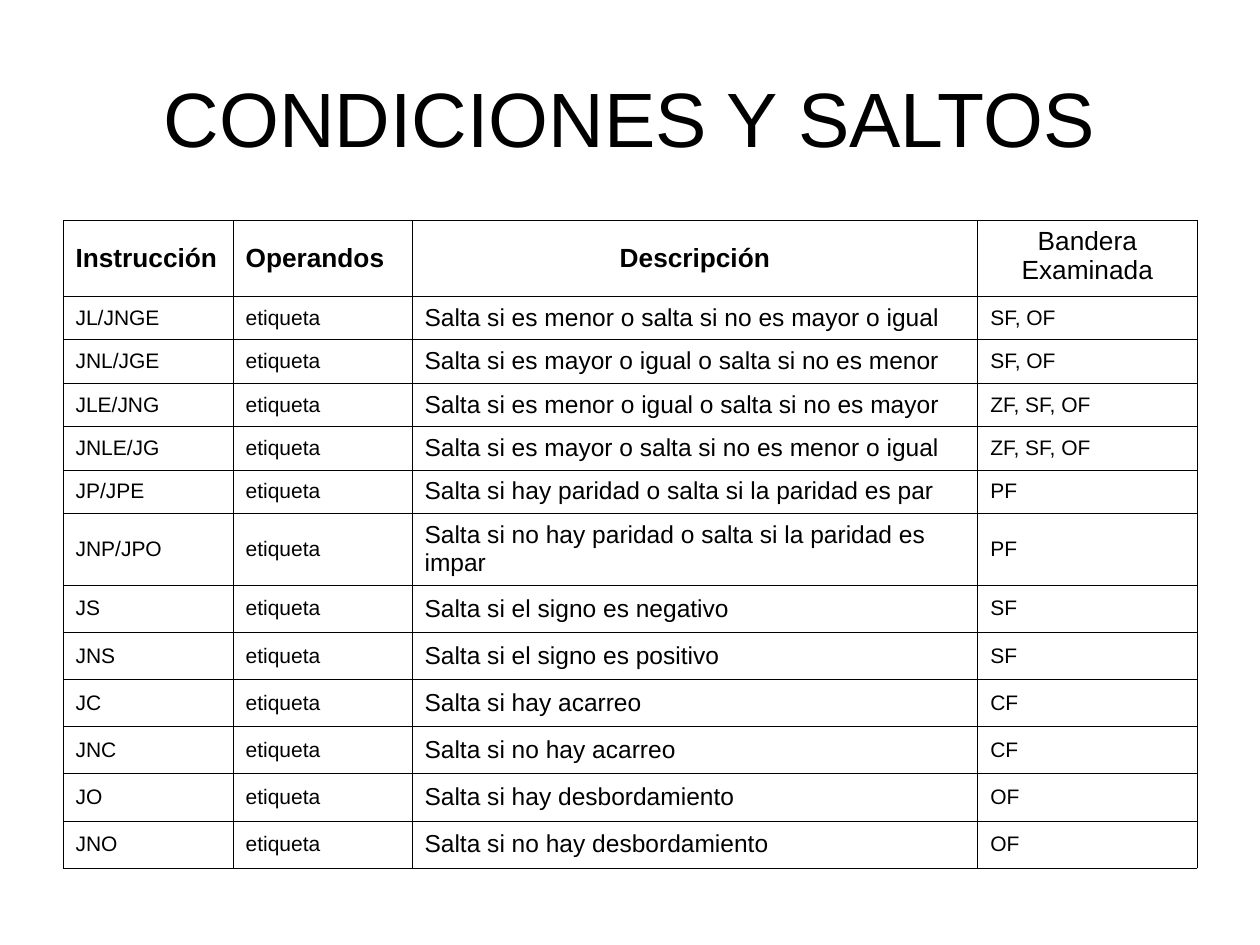
from lxml import etree
from pptx import Presentation
from pptx.dml.color import RGBColor
from pptx.enum.text import MSO_ANCHOR, PP_ALIGN
from pptx.oxml.ns import qn
from pptx.util import Inches, Pt

LEFT, CENTER = PP_ALIGN.LEFT, PP_ALIGN.CENTER
TOP, MIDDLE = MSO_ANCHOR.TOP, MSO_ANCHOR.MIDDLE

FONT = "Arial"
BLACK, WHITE = "000000", "FFFFFF"
BORDER_PT = 0.34

SLIDE_W, SLIDE_H = 10, 7.5
MARGIN = SLIDE_W / 20
CONTENT_W = SLIDE_W - 2 * MARGIN
TITLE_BOX = (MARGIN, SLIDE_H * 0.04, CONTENT_W, SLIDE_H / 6)
TABLE_BOX = (MARGIN, 1.75, CONTENT_W, 5.14)

COLUMN_SHARES = [1.35, 1.42, 4.49, 1.74]
ROW_SHARES = [0.6] + [0.345] * 5 + [0.57] + [0.375] * 6
BODY_SIZES = [12, 12, 14, 12]

# Heading, alignment, anchor, bold
HEADER = [
    ("Instrucción", LEFT, MIDDLE, True),
    ("Operandos", LEFT, MIDDLE, True),
    ("Descripción", CENTER, MIDDLE, True),
    ("Bandera Examinada", CENTER, TOP, False),
]

# Instruction, description, flags tested
JUMPS = [
    ("JL/JNGE", "Salta si es menor o salta si no es mayor o igual", "SF, OF"),
    ("JNL/JGE", "Salta si es mayor o igual o salta si no es menor", "SF, OF"),
    ("JLE/JNG", "Salta si es menor o igual o salta si no es mayor", "ZF, SF, OF"),
    ("JNLE/JG", "Salta si es mayor o salta si no es menor o igual", "ZF, SF, OF"),
    ("JP/JPE", "Salta si hay paridad o salta si la paridad es par", "PF"),
    ("JNP/JPO", "Salta si no hay paridad o salta si la paridad es impar", "PF"),
    ("JS", "Salta si el signo es negativo", "SF"),
    ("JNS", "Salta si el signo es positivo", "SF"),
    ("JC", "Salta si hay acarreo", "CF"),
    ("JNC", "Salta si no hay acarreo", "CF"),
    ("JO", "Salta si hay desbordamiento", "OF"),
    ("JNO", "Salta si no hay desbordamiento", "OF"),
]


def rgb(value):
    return RGBColor.from_string(value)


def write(tf, text, size, align=LEFT, bold=False):
    tf.word_wrap = True
    tf.text = text
    p = tf.paragraphs[0]
    p.alignment = align
    font = p.runs[0].font
    font.name, font.size, font.bold = FONT, Pt(size), bold
    font.color.rgb = rgb(BLACK)


def add_borders(cell):
    # Border lines must come before the cell fill
    tc_pr = cell._tc.get_or_add_tcPr()
    for i, side in enumerate(("a:lnL", "a:lnR", "a:lnT", "a:lnB")):
        ln = etree.Element(qn(side), w=str(Pt(BORDER_PT)))
        fill = etree.SubElement(ln, qn("a:solidFill"))
        etree.SubElement(fill, qn("a:srgbClr"), val=BLACK)
        tc_pr.insert(i, ln)


def fill_cell(cell, text, size, align=LEFT, anchor=MIDDLE, bold=False):
    write(cell.text_frame, text, size, align, bold)
    cell.vertical_anchor = anchor
    cell.margin_left = cell.margin_right = Inches(0.1)
    cell.margin_top = cell.margin_bottom = Inches(0.05)
    cell.fill.solid()
    cell.fill.fore_color.rgb = rgb(WHITE)
    add_borders(cell)


def add_title(s, box):
    tf = s.shapes.add_textbox(*map(Inches, box)).text_frame
    write(tf, "CONDICIONES Y SALTOS", 44, CENTER)
    tf.vertical_anchor = MIDDLE


def add_jump_table(s, box):
    width, height = box[2:]
    table = s.shapes.add_table(
        len(JUMPS) + 1, len(HEADER), *map(Inches, box)).table

    # Grid
    for column, share in zip(table.columns, COLUMN_SHARES):
        column.width = Inches(width * share / sum(COLUMN_SHARES))
    for row, share in zip(table.rows, ROW_SHARES):
        row.height = Inches(height * share / sum(ROW_SHARES))

    # Header row
    for c, (text, align, anchor, bold) in enumerate(HEADER):
        fill_cell(table.cell(0, c), text, 15, align, anchor, bold)

    # One row for each jump
    for r, (instruction, description, flags) in enumerate(JUMPS, 1):
        values = (instruction, "etiqueta", description, flags)
        for c, (text, size) in enumerate(zip(values, BODY_SIZES)):
            fill_cell(table.cell(r, c), text, size)


def main():
    prs = Presentation()
    prs.slide_width, prs.slide_height = Inches(SLIDE_W), Inches(SLIDE_H)
    s = prs.slides.add_slide(prs.slide_layouts[6])
    add_title(s, TITLE_BOX)
    add_jump_table(s, TABLE_BOX)
    prs.save("out.pptx")


if __name__ == "__main__":
    main()
